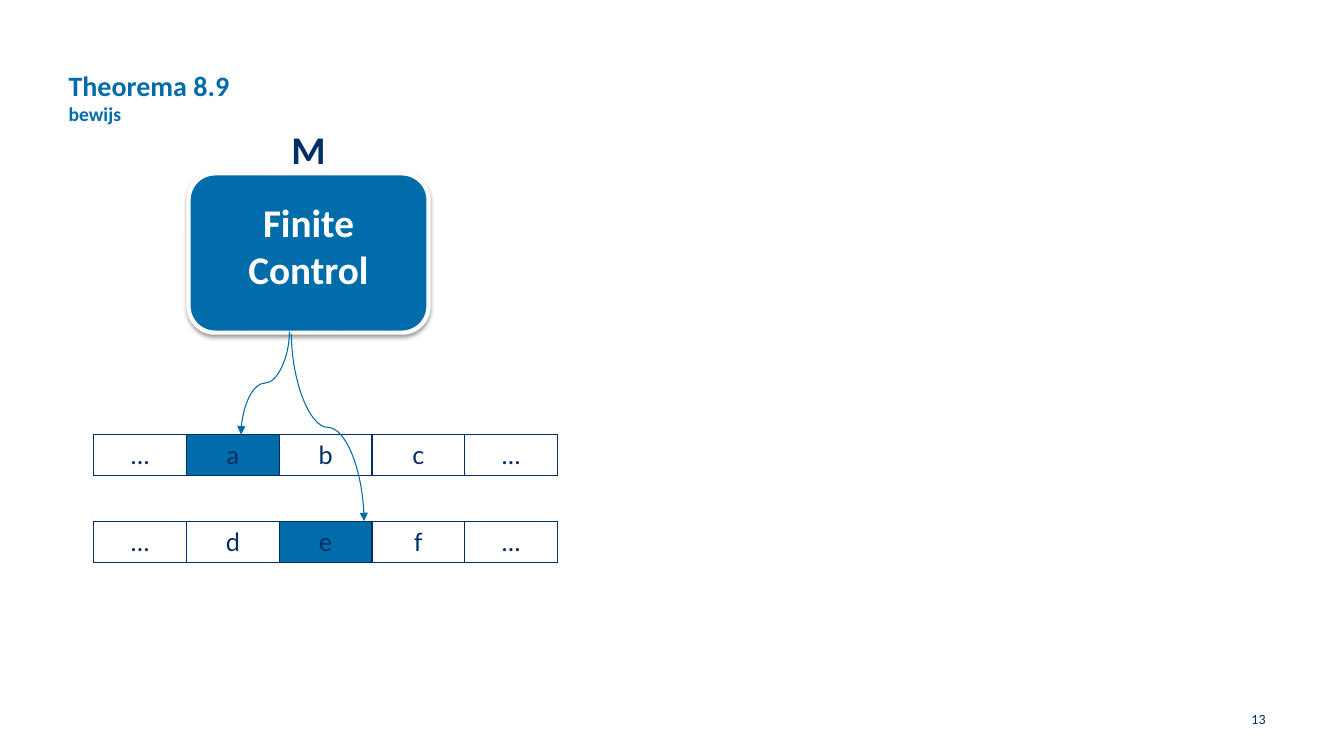
from lxml.etree import SubElement
from pptx import Presentation
from pptx.dml.color import RGBColor
from pptx.enum.shapes import MSO_CONNECTOR, MSO_SHAPE
from pptx.enum.text import MSO_ANCHOR, PP_ALIGN
from pptx.oxml import parse_xml
from pptx.oxml.ns import nsdecls, qn
from pptx.util import Inches, Pt

BLUE = RGBColor(0x00, 0x6C, 0xA9)
NAVY = RGBColor(0x00, 0x2E, 0x65)
STEEL = RGBColor(0x00, 0x6A, 0xA5)
WHITE = RGBColor(0xFF, 0xFF, 0xFF)

TITLE = [("Theorema 8.9", "bewijs")]
LABEL = [("Finite",), ("Control",)]
NAME = [("M",)]
PAGE = [("13",)]
TAPES = [
    (4.31, ["…", "a", "b", "c", "…"], 1),
    (5.17, ["…", "d", "e", "f", "…"], 2),
]
HEADS = [((2.87, 3.29), (2.39, 4.31)), ((2.89, 3.31), (3.61, 5.17))]
LEFT, COL, ROW = 0.93, 0.92, 0.41

deck = Presentation()
deck.slide_width, deck.slide_height = Inches(13.33), Inches(7.5)
slide = deck.slides.add_slide(deck.slide_layouts[6])
shapes = slide.shapes


def write(frame, paras, sizes=(28,), color=NAVY, font="Calibri",
          bold=True, align=PP_ALIGN.CENTER):
    frame.word_wrap = True
    for i, lines in enumerate(paras):
        para = frame.paragraphs[0] if i == 0 else frame.add_paragraph()
        para.alignment = align
        for j, line in enumerate(lines):
            if j:
                para.add_line_break()
            run = para.add_run()
            run.text = line
            run.font.size = Pt(sizes[j])
            run.font.name = font
            run.font.bold = bold
            run.font.color.rgb = color


def add_box(spot, paras, inset=0, anchor=MSO_ANCHOR.TOP, **style):
    frame = shapes.add_textbox(*map(Inches, spot)).text_frame
    frame.margin_left = frame.margin_right = Inches(inset)
    frame.margin_top = frame.margin_bottom = Inches(inset / 2)
    frame.vertical_anchor = anchor
    write(frame, paras, **style)


def add_tape(top, marks, head):
    count = len(marks)
    spot = LEFT, top, COL * count, ROW
    table = shapes.add_table(1, count, *map(Inches, spot)).table
    table.first_row = table.horz_banding = False
    for i, mark in enumerate(marks):
        cell = table.cell(0, i)
        cell.vertical_anchor = MSO_ANCHOR.MIDDLE
        write(cell.text_frame, [(mark,)], sizes=(18,), font="Lato", bold=False)
        props = cell._tc.get_or_add_tcPr()
        for side in ("lnL", "lnR", "lnT", "lnB"):
            props.append(parse_xml(
                f'<a:{side} {nsdecls("a")} w="{Pt(1)}"><a:solidFill>'
                f'<a:srgbClr val="{NAVY}"/></a:solidFill></a:{side}>'))
        if i == head:
            cell.fill.solid()
            cell.fill.fore_color.rgb = BLUE
        else:
            cell.fill.background()


def add_head(start, end):
    (x1, y1), (x2, y2) = start, end
    midx, midy = (x1 + x2) / 2, (y1 + y2) / 2
    long, wide = (y2 - y1) / 2, abs(x2 - x1) / 2
    turn = 1 if x2 < x1 else -1
    ends = midx - turn * long, midy - wide, midx + turn * long, midy + wide
    curve = shapes.add_connector(MSO_CONNECTOR.CURVE, *map(Inches, ends))
    curve.line.color.rgb = STEEL
    curve.line.width = Pt(0.75)
    props = curve._element.spPr
    props.find(qn("a:xfrm")).set("rot", str(turn * 90 % 360 * 60000))
    SubElement(props.find(qn("a:ln")), qn("a:tailEnd"), type="triangle")
    SubElement(props, qn("a:effectLst"))


add_box((0.68, 0.68, 11.97, 0.87), TITLE, sizes=(20, 14), color=BLUE,
        align=PP_ALIGN.LEFT)
add_box((9.76, 6.93, 2.89, 0.4), PAGE, inset=0.1, anchor=MSO_ANCHOR.MIDDLE,
        sizes=(10,), bold=False, align=PP_ALIGN.RIGHT)

block = shapes.add_shape(MSO_SHAPE.ROUNDED_RECTANGLE,
                         *map(Inches, (1.87, 1.72, 2.38, 1.58)))
block.fill.solid()
block.fill.fore_color.rgb = BLUE
block.line.color.rgb = WHITE
block.line.width = Pt(3)
block._element.spPr.append(parse_xml(
    f'<a:effectLst {nsdecls("a")}><a:outerShdw blurRad="{Pt(3.1)}" '
    f'dist="{Pt(1.6)}" dir="5400000" rotWithShape="0"><a:srgbClr val="000000">'
    '<a:alpha val="38000"/></a:srgbClr></a:outerShdw></a:effectLst>'))

add_box((2.29, 1.97, 1.54, 0.78), LABEL, color=WHITE)
for tape in TAPES:
    add_tape(*tape)
for head in HEADS:
    add_head(*head)
add_box((2.29, 1.24, 1.54, 0.78), NAME)

deck.save("out.pptx")
